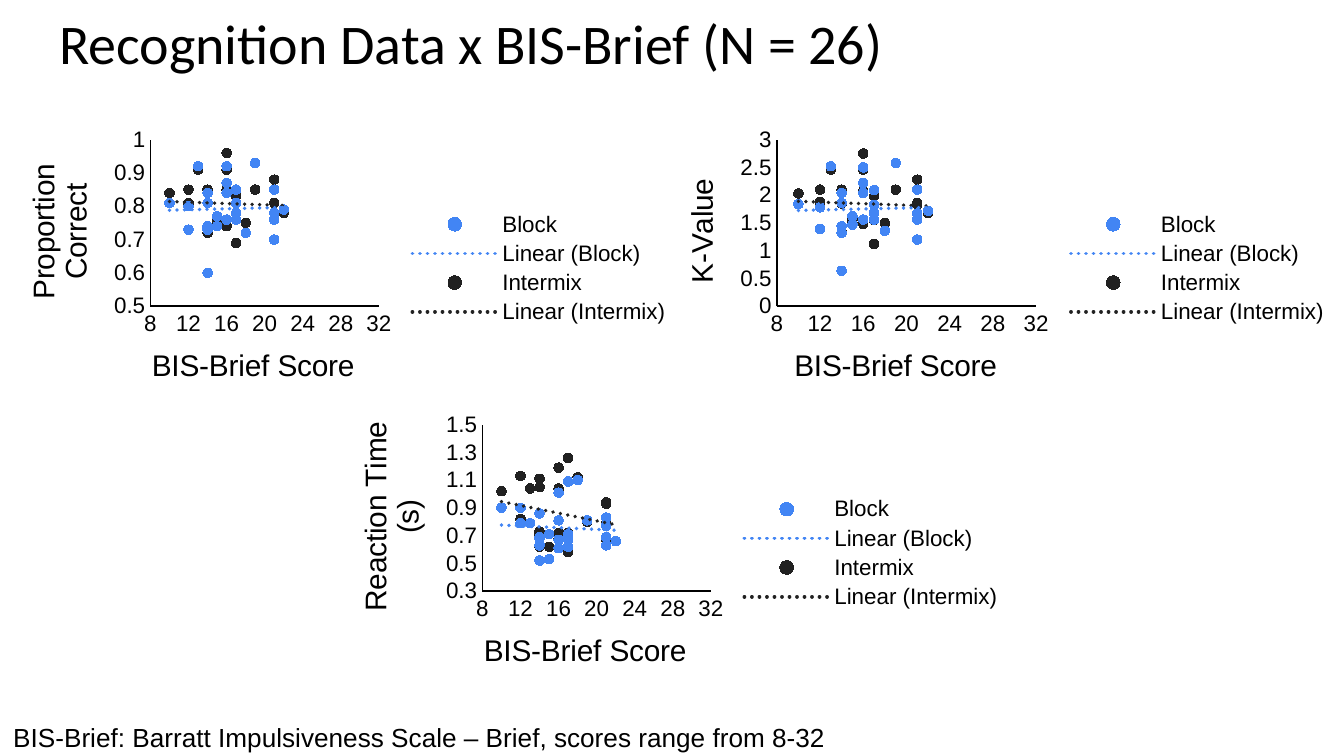
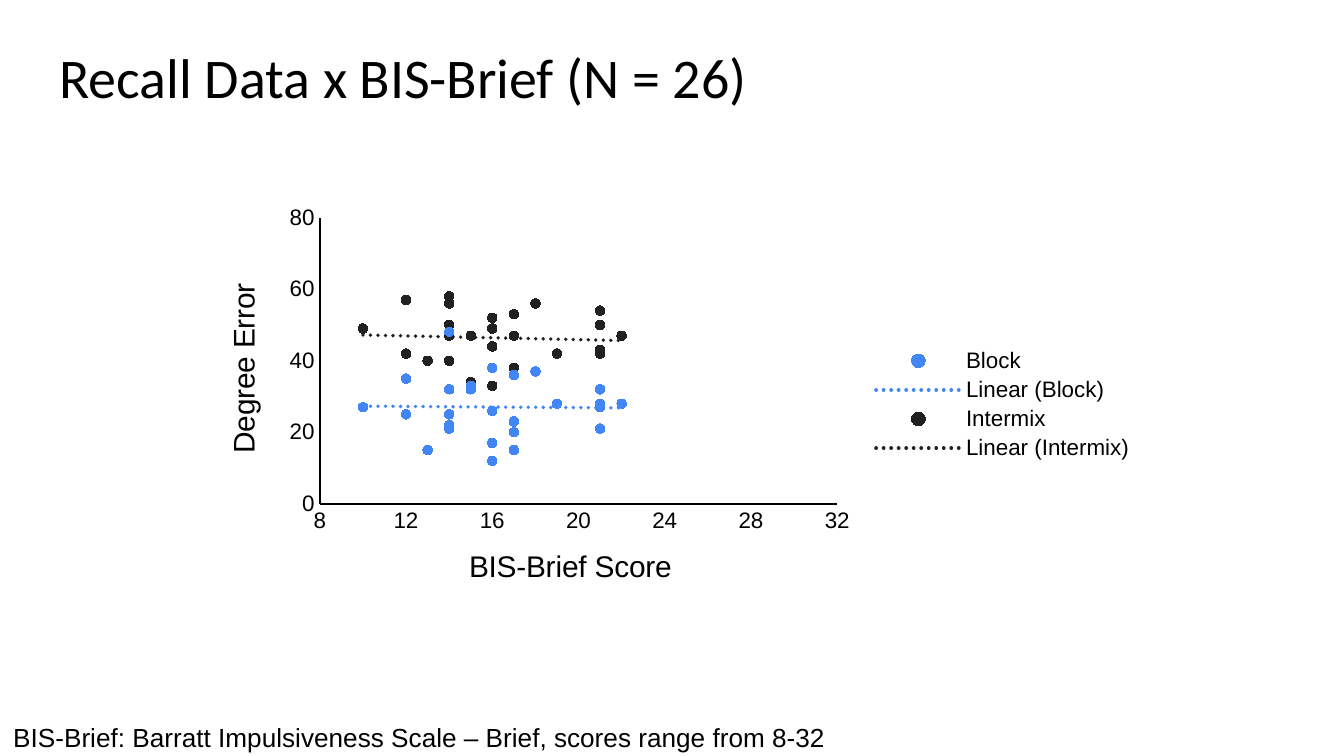
from lxml import etree
from pptx import Presentation
from pptx import util as u
from pptx.chart.data import XyChartData
from pptx.dml.color import RGBColor
from pptx.enum import chart as ch, text
from pptx.oxml import parse_xml
from pptx.oxml.ns import nsdecls, qn

BLACK = RGBColor(0x00, 0x00, 0x00)
BLUE = RGBColor(0x42, 0x85, 0xF4)
CHARCOAL = RGBColor(0x21, 0x21, 0x21)
SERIES_COLORS = {"Block": BLUE, "Intermix": CHARCOAL}
FOOTNOTE = "BIS-Brief: Barratt Impulsiveness Scale – Brief, scores range from 8-32"

# BIS-Brief score of each participant, shared by all charts
BIS = [16, 21, 22, 21, 16, 14, 18, 10, 19, 15, 12, 17, 14,
       15, 14, 14, 14, 12, 13, 16, 17, 17, 21, 17, 16, 21]

# Chart data; plot and title places are inches from the chart's top left corner
proportion = dict(
    label="Proportion Correct", at=(-0.04, 0.91, 5.13, 2.17), scale=(0.5, 1, 0.1),
    plot=(1.16, 0.13, 1.7, 1.24), x_title=(1.13, 1.63), y_title=(0.18, 0.27),
    Block=[0.84, 0.7, 0.79, 0.76, 0.87, 0.74, 0.72, 0.81, 0.93, 0.77, 0.8, 0.78, 0.73,
           0.74, 0.81, 0.84, 0.6, 0.73, 0.92, 0.76, 0.76, 0.81, 0.78, 0.85, 0.92, 0.85],
    Intermix=[0.85, 0.78, 0.78, 0.81, 0.91, 0.74, 0.75, 0.84, 0.85, 0.75, 0.85, 0.83, 0.74,
              0.76, 0.85, 0.81, 0.72, 0.81, 0.91, 0.74, 0.69, 0.76, 0.81, 0.83, 0.96, 0.88])
k_value = dict(
    label="K-Value", at=(4.86, 0.91, 5.13, 2.17), scale=(0, 3, 0.5),
    plot=(0.92, 0.13, 1.93, 1.24), x_title=(1.01, 1.63), y_title=(0.18, 0.38),
    Block=[2.04, 1.2, 1.72, 1.56, 2.22, 1.44, 1.36, 1.84, 2.58, 1.62, 1.78, 1.68, 1.32,
           1.47, 1.86, 2.04, 0.64, 1.39, 2.52, 1.56, 1.56, 1.83, 1.67, 2.09, 2.5, 2.1],
    Intermix=[2.07, 1.66, 1.68, 1.83, 2.46, 1.44, 1.5, 2.03, 2.1, 1.5, 2.1, 1.98, 1.44,
              1.56, 2.1, 1.85, 1.33, 1.88, 2.46, 1.48, 1.12, 1.55, 1.86, 1.98, 2.75, 2.28])
reaction = dict(
    label="Reaction Time (s)", at=(2.43, 3.03, 5.13, 2.17), scale=(0.3, 1.5, 0.2),
    plot=(1.16, 0.13, 1.7, 1.24), x_title=(1.13, 1.63), y_title=(0.18, 0.07),
    Block=[1.01, 0.77, 0.66, 0.69, 0.61, 0.69, 1.1, 0.9, 0.81, 0.53, 0.79, 0.71, 0.86,
           0.71, 0.63, 0.52, 0.68, 0.9, 0.79, 0.81, 0.67, 1.09, 0.83, 0.62, 0.67, 0.63],
    Intermix=[1.19, 0.94, 0.66, 0.79, 0.72, 0.71, 1.12, 1.02, 0.8, 0.62, 0.82, 0.67, 1.05,
              0.71, 0.73, 0.62, 1.11, 1.13, 1.04, 1.04, 0.72, 1.26, 0.93, 0.58, 0.68, 0.67])
degree_error = dict(
    label="Degree Error", at=(1.46, 1.46, 7.08, 3.1), scale=(0, 80, 20),
    plot=(0.92, 0.16, 3.85, 2.13), x_title=(1.99, 2.57), y_title=(0.17, 0.61),
    Block=[26, 21, 28, 28, 17, 22, 37, 27, 28, 33, 25, 20, 32,
           32, 21, 25, 48, 35, 15, 38, 15, 23, 32, 36, 12, 27],
    Intermix=[49, 50, 47, 42, 44, 40, 56, 49, 42, 34, 42, 36, 58,
              47, 50, 47, 56, 57, 40, 52, 38, 47, 43, 53, 33, 54])
SLIDES = [
    ("Recognition Data x BIS-Brief (N = 26)", -0.04, [proportion, k_value, reaction]),
    ("Recall Data x BIS-Brief (N = 26)", 0.22, [degree_error]),
]


def style_font(font, size, name="Arial"):
    font.size = u.Pt(size)
    font.name = name
    font.bold = False
    font.color.rgb = BLACK


def set_layout(parent, index, place, chart_size, inner=False):
    """Give a plot area or an axis title a fixed place within its chart."""
    old = parent.find(qn("c:layout"))
    if old is not None:
        parent.remove(old)
    layout = parse_xml(f"<c:layout {nsdecls('c')}><c:manualLayout/></c:layout>")
    settings = [("layoutTarget", "inner")] if inner else []
    settings += [("xMode", "edge"), ("yMode", "edge")]
    settings += [(tag, length / full) for tag, length, full in zip("xywh", place, chart_size * 2)]
    for tag, val in settings:
        etree.SubElement(layout[0], qn(f"c:{tag}")).set("val", str(val))
    parent.insert(index, layout)


prs = Presentation()
prs.slide_width = u.Inches(10)
prs.slide_height = prs.slide_width * 9 // 16

for title, title_top, charts in SLIDES:
    s = prs.slides.add_slide(prs.slide_layouts[5])

    # Title
    sp = s.shapes.title
    sp.left, sp.top, sp.width, sp.height = map(u.Inches, (0.34, title_top, 9.32, 0.63))
    tf = sp.text_frame
    tf.text = title
    tf.auto_size = text.MSO_AUTO_SIZE.NONE
    tf.vertical_anchor = text.MSO_ANCHOR.TOP
    tf.margin_left = tf.margin_right = tf.margin_top = tf.margin_bottom = u.Inches(0.1)
    p = tf.paragraphs[0]
    p.alignment = text.PP_ALIGN.LEFT
    style_font(p.runs[0].font, 30, "Calibri")

    # Footnote
    sp = s.shapes.add_textbox(*map(u.Inches, (0, 5.32, 6.31, 0.34)))
    tf = sp.text_frame
    tf.text = FOOTNOTE
    tf.word_wrap = False
    tf.auto_size = text.MSO_AUTO_SIZE.SHAPE_TO_FIT_TEXT
    style_font(tf.paragraphs[0].runs[0].font, 14)

    for c in charts:
        # Scatter chart
        data = XyChartData()
        for name in SERIES_COLORS:
            points = data.add_series(name)
            for x, y in zip(BIS, c[name]):
                points.add_data_point(x, y)
        chart = s.shapes.add_chart(ch.XL_CHART_TYPE.XY_SCATTER,
                                   *map(u.Inches, c["at"]), data).chart
        size = c["at"][2:]
        chart.has_title = False
        style_font(chart.font, 10)
        chart.plots[0].vary_by_categories = False
        set_layout(chart.plots[0]._element.getparent(), 0, c["plot"], size, inner=True)

        # Axes
        axes = [(chart.category_axis, "BIS-Brief Score", (8, 32, 4), c["x_title"], 0),
                (chart.value_axis, c["label"], c["scale"], c["y_title"], -90)]
        for axis, label, scale, title_at, angle in axes:
            axis.minimum_scale, axis.maximum_scale, axis.major_unit = scale
            axis.has_major_gridlines = False
            axis.major_tick_mark = axis.minor_tick_mark = ch.XL_TICK_MARK.NONE
            axis.format.line.color.rgb = BLACK
            axis.format.line.width = u.Pt(1)
            axis.tick_labels.number_format = "General"
            axis.tick_labels.number_format_is_linked = False
            style_font(axis.tick_labels.font, 12)
            tf = axis.axis_title.text_frame
            tf.text = label
            style_font(tf.paragraphs[0].runs[0].font, 16)
            body = tf._txBody.find(qn("a:bodyPr"))
            body.set("rot", str(angle * 60000))
            body.set("vert", "horz")
            set_layout(axis.axis_title._element, 1, title_at, size)

        # Markers and dotted trend lines
        for series in chart.plots[0].series:
            color = SERIES_COLORS[series.name]
            series.smooth = False
            series.format.line.fill.background()
            marker = series.marker
            marker.style, marker.size = ch.XL_MARKER_STYLE.CIRCLE, 5
            marker.format.fill.solid()
            marker.format.fill.fore_color.rgb = color
            marker.format.line.color.rgb = color
            series._element.find(qn("c:xVal")).addprevious(parse_xml(
                f'<c:trendline {nsdecls("c", "a")}><c:spPr><a:ln w="{u.Pt(2)}" cap="rnd">'
                f'<a:solidFill><a:srgbClr val="{color}"/></a:solidFill>'
                '<a:prstDash val="sysDot"/></a:ln></c:spPr><c:trendlineType val="linear"/>'
                '<c:dispRSqr val="0"/><c:dispEq val="0"/></c:trendline>'))

        # Legend, with the trend line entries switched off
        chart.has_legend = True
        legend = chart.legend
        legend.position = ch.XL_LEGEND_POSITION.RIGHT
        legend.include_in_layout = False
        style_font(legend.font, 12)
        for idx in (3, 2):
            legend._element.find(qn("c:legendPos")).addnext(parse_xml(
                f'<c:legendEntry {nsdecls("c")}><c:idx val="{idx}"/>'
                '<c:delete val="1"/></c:legendEntry>'))

prs.save("out.pptx")
